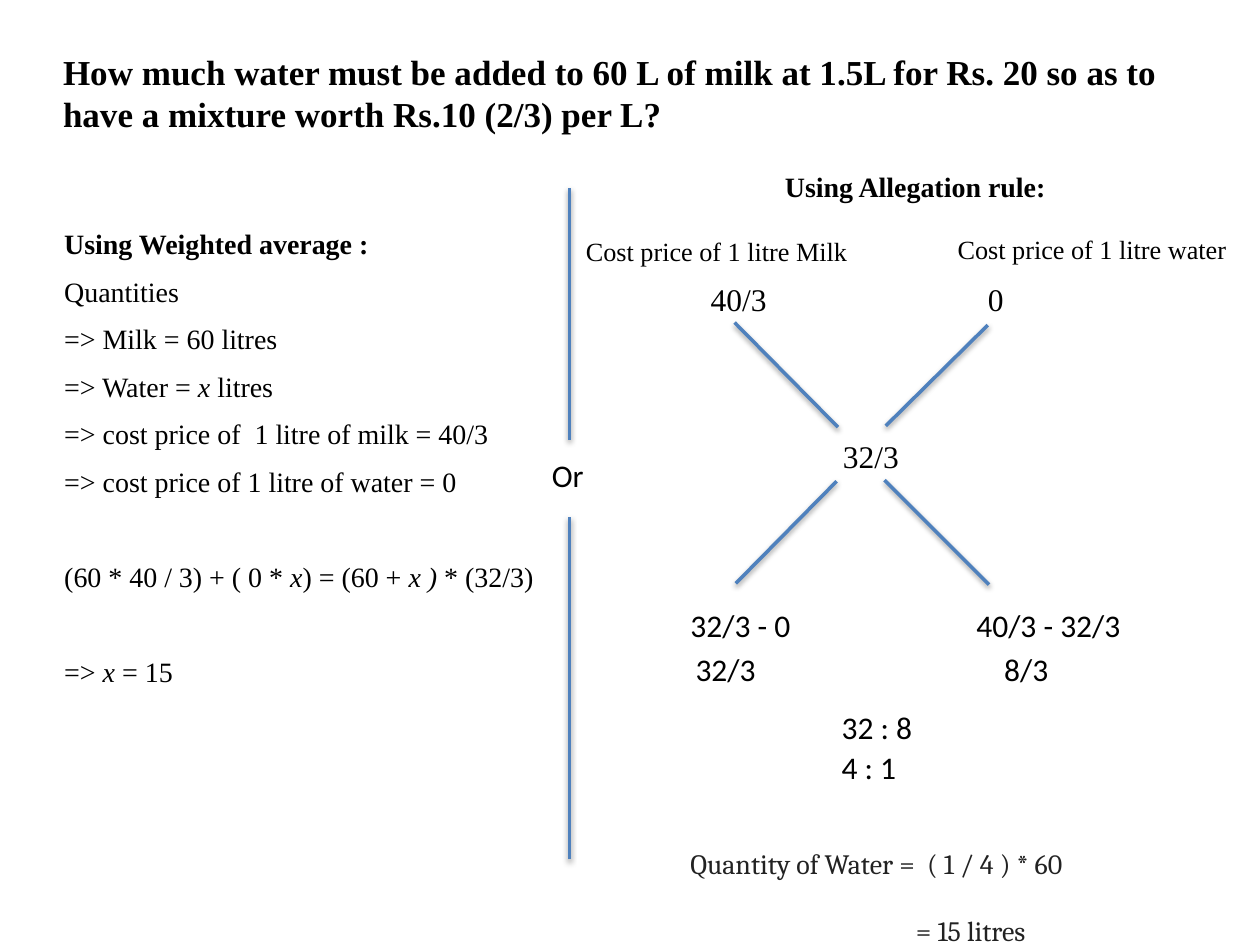
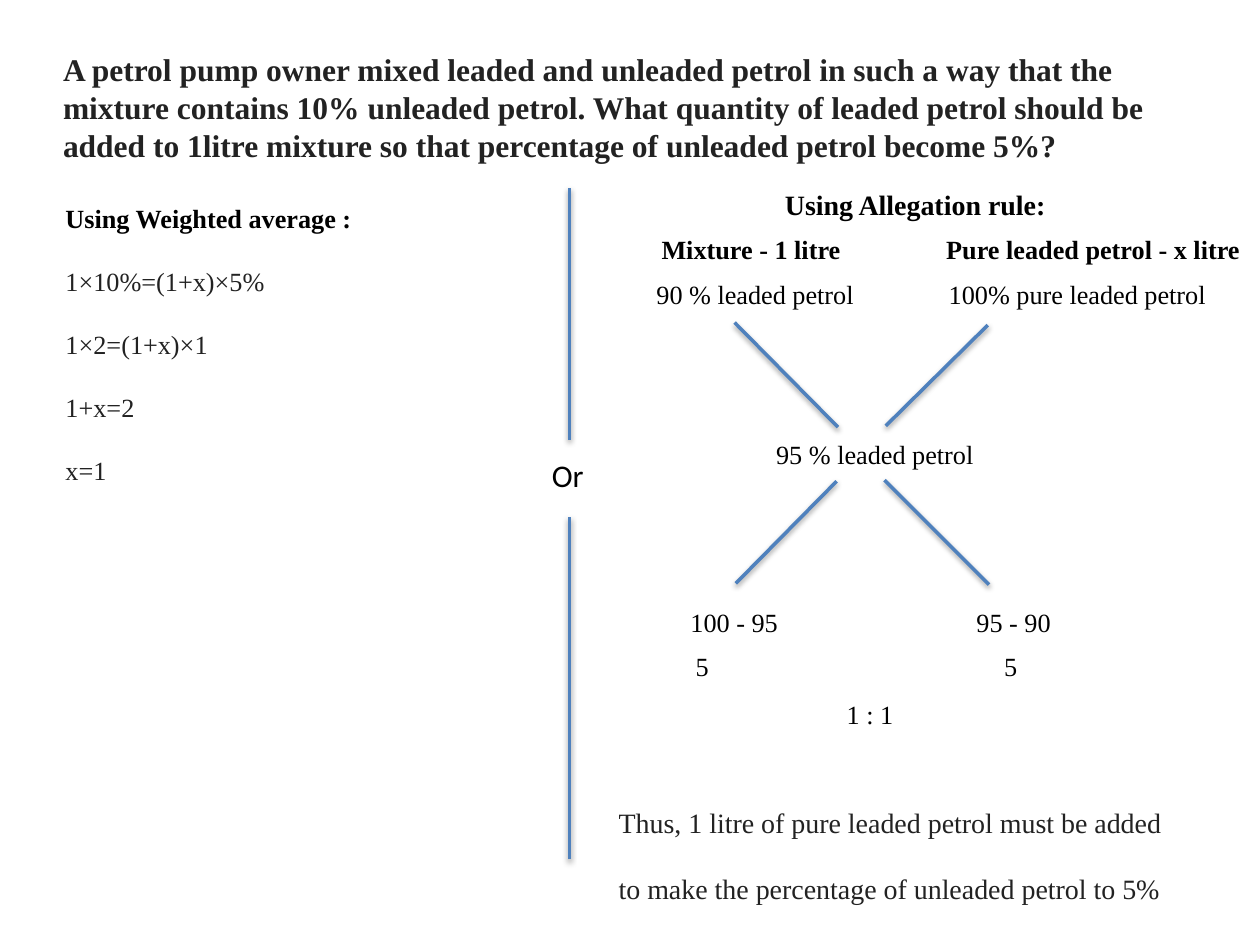
from pptx import Presentation
from pptx.dml.color import RGBColor
from pptx.enum.shapes import MSO_CONNECTOR
from pptx.enum.text import MSO_ANCHOR, MSO_AUTO_SIZE, PP_ALIGN
from pptx.util import Inches, Pt

BLACK = RGBColor(0x00, 0x00, 0x00)
DARK_GREY = RGBColor(0x22, 0x22, 0x22)
BLUE = RGBColor(0x4F, 0x81, 0xBD)

SERIF = "Times New Roman"
SANS = "Calibri"
MARGIN = Inches(0.05)

DIVIDER_X = 4.52
DIVIDER_LINES = [
    (DIVIDER_X, 3.49, DIVIDER_X, 1.49),
    (DIVIDER_X, 6.82, DIVIDER_X, 4.1),
]
CROSS_LINES = [
    (7.84, 2.58, 7.03, 3.38),
    (5.83, 2.56, 6.65, 3.39),
    (7.02, 3.81, 7.85, 4.64),
    (6.64, 3.82, 5.84, 4.63),
]
# Left and top of the two differences and of their two results
DIFFERENCE_PLACES = [(5.43, 4.76), (7.7, 4.76), (5.47, 5.11), (7.92, 5.11)]


def set_up_frame(text_frame, wrap):
    text_frame.word_wrap = wrap
    text_frame.auto_size = MSO_AUTO_SIZE.SHAPE_TO_FIT_TEXT
    text_frame.vertical_anchor = MSO_ANCHOR.TOP
    text_frame.margin_left = text_frame.margin_right = MARGIN
    text_frame.margin_top = text_frame.margin_bottom = MARGIN


def write_paragraph(text_frame, text, size=15, font=SERIF, color=BLACK,
                    bold=False, space_before=0, line_spacing=None, indent=0):
    """Write a string, or a tuple whose every second part is italic."""
    paragraph = text_frame.paragraphs[0]
    if paragraph.runs:
        paragraph = text_frame.add_paragraph()
        paragraph.space_before = Pt(space_before)
    paragraph.alignment = PP_ALIGN.LEFT
    if line_spacing:
        paragraph.line_spacing = line_spacing
    if indent:
        paragraph._p.get_or_add_pPr().set("marL", str(Inches(indent)))
    parts = (text,) if isinstance(text, str) else text
    for position, part in enumerate(parts):
        run = paragraph.add_run()
        run.text = part
        run.font.name = font
        run.font.size = Pt(size)
        run.font.bold = bold
        run.font.italic = position % 2 == 1
        run.font.color.rgb = color


def add_text_box(slide, left, top, width, height, wrap=False):
    box = slide.shapes.add_textbox(
        Inches(left), Inches(top), Inches(width), Inches(height))
    set_up_frame(box.text_frame, wrap)
    return box.text_frame


def add_label(slide, text, left, top, width, height=0.33, wrap=False, **text_format):
    text_frame = add_text_box(slide, left, top, width, height, wrap)
    write_paragraph(text_frame, text, **text_format)


def add_title(slide, text, height, **text_format):
    title = slide.shapes.title
    title.left, title.top = Inches(0.45), Inches(0.35)
    title.width, title.height = Inches(9.1), Inches(height)
    set_up_frame(title.text_frame, wrap=True)
    write_paragraph(title.text_frame, text, bold=True, **text_format)


def add_lines(slide, lines):
    for ends in lines:
        line = slide.shapes.add_connector(
            MSO_CONNECTOR.STRAIGHT, *(Inches(value) for value in ends))
        line.line.color.rgb = BLUE
        line.line.width = Pt(2)


def add_differences(slide, labels, **text_format):
    """Write (text, width) pairs below the cross."""
    for (text, width), (left, top) in zip(labels, DIFFERENCE_PLACES):
        add_label(slide, text, left, top, width, **text_format)


def start_slide(presentation, title, title_height, rule_top, **title_format):
    """Add a slide with all that both solutions share."""
    slide = presentation.slides.add_slide(presentation.slide_layouts[5])
    add_title(slide, title, title_height, **title_format)
    add_label(slide, "Using Allegation rule:", 6.18, rule_top, 2.24,
              size=16, bold=True)
    add_lines(slide, CROSS_LINES + DIVIDER_LINES)
    add_label(slide, "Or", 4.33, 3.57, 0.37, 0.36, size=18, font=SANS)
    return slide


def build_milk_slide(presentation):
    slide = start_slide(
        presentation,
        "How much water must be added to 60 L of milk at 1.5L for Rs. 20 so as to "
        "have a mixture worth Rs.10 (2/3) per L?",
        0.8, rule_top=1.3, size=20)

    average = add_text_box(slide, 0.46, 1.75, 3.85, 4.31)
    write_paragraph(average, "Using Weighted average :", size=16, bold=True)
    for step in ["Quantities",
                 "=> Milk = 60 litres",
                 ("=> Water = ", "x ", "litres"),
                 "=> cost price of  1 litre of milk = 40/3",
                 "=> cost price of 1 litre of water = 0"]:
        write_paragraph(average, step, size=16, space_before=8)
    for equation in [
            ("(60 * 40 / 3) + ( 0 * ", "x", ") = (60 + ", "x )", " * (32/3)"),
            ("=> ", "x", " = 15")]:
        write_paragraph(average, equation, size=16, space_before=35)

    add_label(slide, "Cost price of 1 litre Milk", 4.6, 1.82, 2.24, wrap=True)
    add_label(slide, "Cost price of 1 litre water", 7.55, 1.8, 2.25)
    for text, left, top, width in [("40/3", 5.59, 2.17, 0.56),
                                   ("0", 7.79, 2.17, 0.24),
                                   ("32/3", 6.64, 3.42, 0.56)]:
        add_label(slide, text, left, top, width, 0.38, size=18)

    sans_format = dict(height=0.36, size=18, font=SANS)
    add_differences(slide, [("32/3 - 0", 0.91), ("40/3 - 32/3", 1.26),
                            ("32/3", 0.59), ("8/3", 0.46)], **sans_format)
    add_label(slide, "32 : 8", 6.63, 5.57, 0.67, **sans_format)
    add_label(slide, "4 : 1", 6.63, 5.89, 0.55, **sans_format)

    answer = add_text_box(slide, 5.43, 6.41, 3.37, 0.63)
    for text, indent in [("Quantity of Water =  ( 1 / 4 ) * 60", 0),
                         ("= 15 litres", 1.79)]:
        write_paragraph(answer, text, size=16, font="Cambria", color=DARK_GREY,
                        line_spacing=Pt(38), indent=indent)


def build_petrol_slide(presentation):
    slide = start_slide(
        presentation,
        "A petrol pump owner mixed leaded and unleaded petrol in such a way that the "
        "mixture contains 10% unleaded petrol. What quantity of leaded petrol should "
        "be added to 1litre mixture so that percentage of unleaded petrol become 5%?",
        0.96, rule_top=1.44, size=18, color=DARK_GREY)

    average = add_text_box(slide, 0.47, 1.56, 2.44, 2.76)
    write_paragraph(average, "Using Weighted average :", bold=True)
    for equation in ["1×10%=(1+x)×5%", "1×2=(1+x)×1", "1+x=2", "x=1"]:
        write_paragraph(average, equation, color=DARK_GREY, line_spacing=2.0)

    add_label(slide, "Mixture - 1 litre", 5.2, 1.8, 1.55, wrap=True, bold=True)
    add_label(slide, "Pure leaded petrol - x litre", 7.46, 1.8, 2.45, bold=True)
    add_label(slide, "90 % leaded petrol", 5.16, 2.16, 1.68)
    add_label(slide, "100% pure leaded petrol", 7.48, 2.16, 2.16)
    add_label(slide, "95 % leaded petrol", 6.11, 3.43, 1.68)
    add_differences(slide, [("100 - 95", 0.81), ("95 - 90", 0.7),
                            ("5", 0.22), ("5", 0.22)])
    add_label(slide, "1 : 1", 6.67, 5.49, 0.48)

    answer = add_text_box(slide, 4.86, 6.08, 4.49, 0.6)
    for text in ["Thus, 1 litre of pure leaded petrol must be added",
                 "to make the percentage of unleaded petrol to 5%"]:
        write_paragraph(answer, text, size=16, color=DARK_GREY,
                        line_spacing=Pt(38))


def main():
    presentation = Presentation()
    presentation.slide_width = Inches(10)
    presentation.slide_height = Inches(7.5)
    build_milk_slide(presentation)
    build_petrol_slide(presentation)
    presentation.save("out.pptx")


if __name__ == "__main__":
    main()
